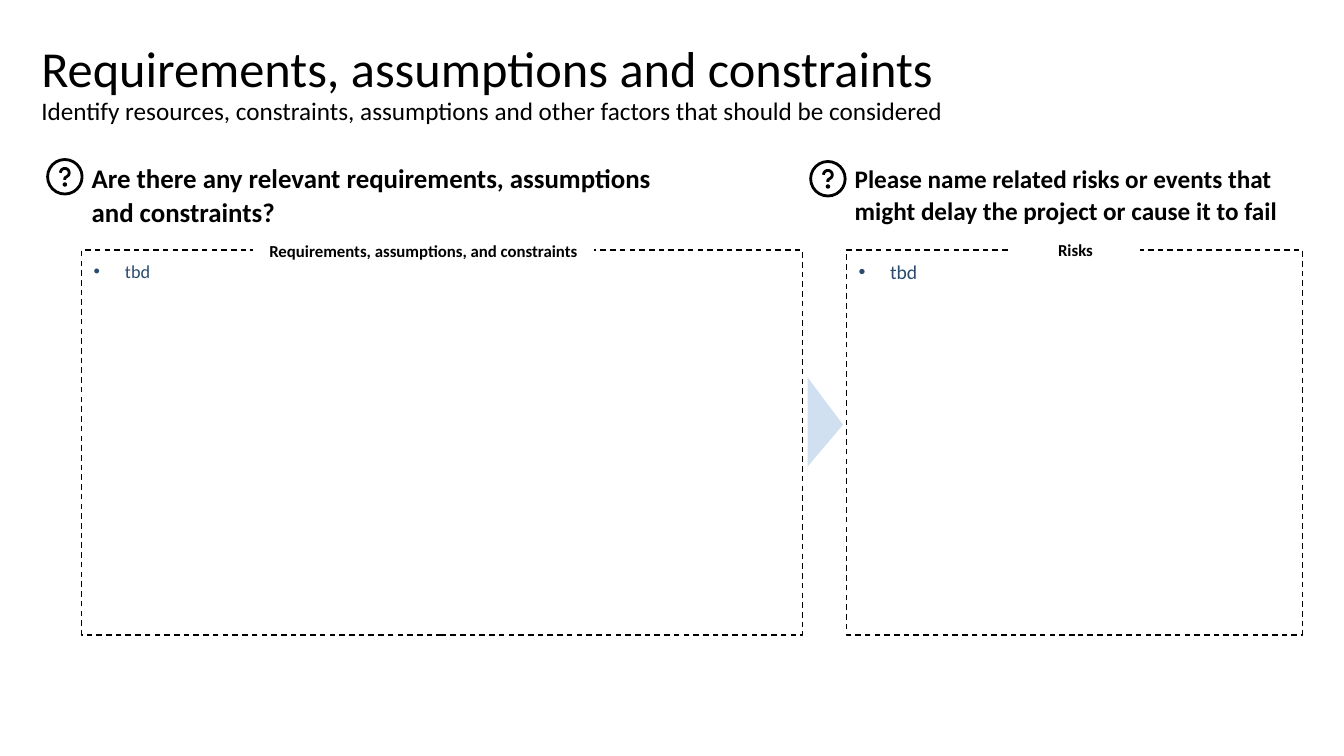
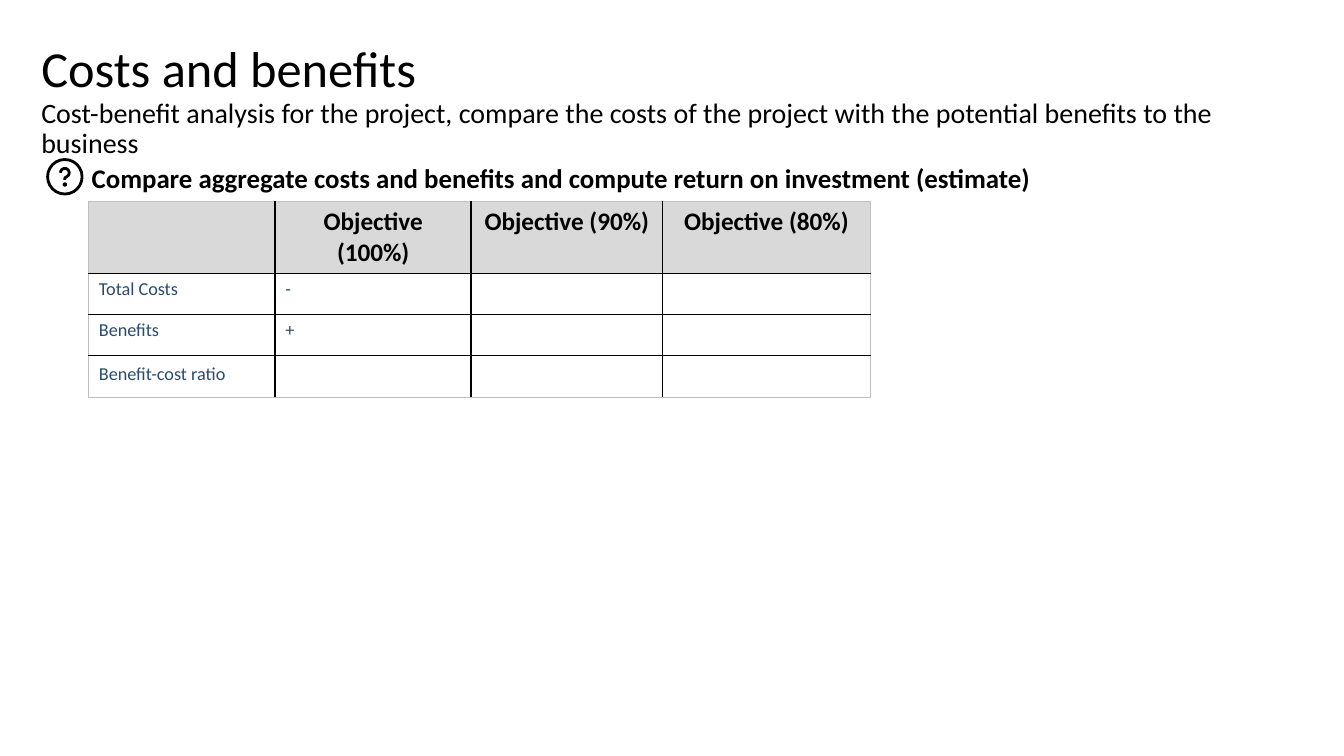
from dataclasses import dataclass
from math import cos, radians, sin

from lxml.etree import SubElement as Sub
from pptx import Presentation
from pptx.dml.color import RGBColor as Rgb
from pptx.enum.dml import MSO_LINE as Dash
from pptx.enum.shapes import MSO_SHAPE as Shape
from pptx.enum.text import MSO_ANCHOR as Anchor, MSO_AUTO_SIZE as Auto, PP_ALIGN as Align
from pptx.oxml.ns import qn
from pptx.util import Cm, Pt


@dataclass(frozen=True)
class Theme:
    font: str = "Calibri"
    ink: str = "000000"
    paper: str = "FFFFFF"
    note: str = "2A4B6D"
    arrow: str = "D1E0F0"
    head: str = "D9D9D9"
    edge: str = "BFBFBF"
    title: float = 36
    ask: float = 19.2
    mid: float = 18
    cell: float = 13
    label: float = 12


T = Theme()
TITLE_ONLY, TWO_LISTS = 5, 3


# Text and paint
def add_run(para, text, size, color=T.ink, bold=False):
    run = para.add_run()
    run.text = text
    font = run.font
    font.name, font.size, font.bold = T.font, Pt(size), bold
    font.color.rgb = Rgb.from_string(color)


def set_pad(frame, x, y):
    frame.margin_left = frame.margin_right = Cm(x)
    frame.margin_top = frame.margin_bottom = Cm(y)
    frame.word_wrap, frame.auto_size = True, Auto.NONE


def place(shape, x, y, w, h):
    shape.left, shape.top, shape.width, shape.height = map(Cm, (x, y, w, h))


def paint(shape, fill=None, line=None, width=1):
    shape.shadow.inherit = False
    if fill:
        shape.fill.solid()
        shape.fill.fore_color.rgb = Rgb.from_string(fill)
    else:
        shape.fill.background()
    if line:
        shape.line.color.rgb = Rgb.from_string(line)
        shape.line.width = Pt(width)
    else:
        shape.line.fill.background()


def add_box(slide, kind, x, y, w, h, **style):
    shape = slide.shapes.add_shape(kind, *map(Cm, (x, y, w, h)))
    paint(shape, **style)
    return shape


# Slide with title and subtitle
def add_slide(deck, layout, title, sub, size):
    slide = deck.slides.add_slide(deck.slide_layouts[layout])
    head = slide.shapes.title
    place(head, 1.04, 1.12, 31.8, 1.8)
    frame = head.text_frame
    set_pad(frame, 0, 0)
    frame.vertical_anchor = Anchor.TOP
    para = frame.paragraphs[0]
    para.alignment, para.line_spacing = Align.LEFT, 0.9
    add_run(para, title, T.title)
    para.add_line_break()
    add_run(para, sub, size)
    return slide


# Question mark in a ring, then the question
def add_icon(slide, x, y):
    size, bow, dot = 0.87, 0.11, 0.11
    add_box(slide, Shape.OVAL, x, y, size, size, fill=T.paper, line=T.ink, width=2)
    mx, my = x + size / 2, y + size / 2
    turns = [radians(a) for a in range(180, 406, 15)]
    hook = [(mx + bow * cos(a), my - 0.1 + bow * sin(a)) for a in turns]
    hook += [(mx, my + 0.03), (mx, my + 0.08)]
    pts = [(Cm(px), Cm(py)) for px, py in hook]
    draw = slide.shapes.build_freeform(*pts[0])
    draw.add_line_segments(pts[1:], close=False)
    paint(draw.convert_to_shape(), line=T.ink, width=2)
    add_box(slide, Shape.OVAL, mx - dot / 2, my + 0.14, dot, dot, fill=T.ink)


def add_ask(slide, x, y, w, h, text, size):
    add_icon(slide, x - 0.86, y + 0.13)
    box = slide.shapes.add_textbox(*map(Cm, (x, y, w, h)))
    set_pad(box.text_frame, 0.25, 0.13)
    para = box.text_frame.paragraphs[0]
    para.line_spacing = 1.06
    add_run(para, text, size, bold=True)


# Dashed list frame and its caption
def add_list(slide, idx, x, w, items, size):
    body = slide.placeholders[idx]
    place(body, x, 6.3, w, 9.7)
    paint(body, T.paper, T.ink)
    body.line.dash_style = Dash.DASH
    frame = body.text_frame
    set_pad(frame, 0.3, 0.2)
    for i, item in enumerate(items):
        para = frame.add_paragraph() if i else frame.paragraphs[0]
        para.line_spacing, para.space_before = 1.1, Pt(6)
        props = para._p.get_or_add_pPr()
        props.set("marL", str(Cm(0.79)))
        props.set("indent", str(-Cm(0.79)))
        Sub(props, qn("a:buChar"), char="•")
        add_run(para, item, size, T.note)


def add_label(slide, x, y, w, text):
    box = add_box(slide, Shape.RECTANGLE, x, y, w, 0.56, fill=T.paper)
    set_pad(box.text_frame, 0.3, 0.2)
    box.text_frame.vertical_anchor = Anchor.MIDDLE
    para = box.text_frame.paragraphs[0]
    para.alignment, para.line_spacing, para.space_before = Align.CENTER, 1.1, Pt(6)
    add_run(para, text, T.label, bold=True)


# Table
def set_edges(cell, edges):
    props = cell._tc.get_or_add_tcPr()
    for side, (color, width) in edges.items():
        line = Sub(props, qn(f"a:ln{side}"), w=str(Pt(width)))
        Sub(Sub(line, qn("a:solidFill")), qn("a:srgbClr"), val=color)


def add_grid(slide, x, y, cols, high, rows):
    tall = [1.8] + [high] * (len(rows) - 1)
    spot = map(Cm, (x, y, sum(cols), sum(tall)))
    grid = slide.shapes.add_table(len(rows), len(cols), *spot).table
    grid.first_row = grid.horz_banding = False
    for col, w in zip(grid.columns, cols):
        col.width = Cm(w)
    inner, outer, thick = (T.ink, 1), (T.edge, 0.75), (T.ink, 1.5)
    last, end = len(rows) - 1, len(cols) - 1
    for r, row in enumerate(rows):
        grid.rows[r].height = Cm(tall[r])
        for c, text in enumerate(row):
            cell = grid.cell(r, c)
            set_edges(cell, {
                "L": outer if c == 0 else thick if c == 1 else inner,
                "R": outer if c == end else thick if c == 0 else inner,
                "T": outer if r == 0 else inner,
                "B": outer if r == last else inner,
            })
            cell.fill.solid()
            cell.fill.fore_color.rgb = Rgb.from_string(T.paper if r else T.head)
            para = cell.text_frame.paragraphs[0]
            if r == last:
                para.line_spacing, para.space_before = 1.1, Pt(6)
            if text and r:
                add_run(para, text, T.cell, T.note)
            elif text:
                para.alignment = Align.CENTER
                add_run(para, text, T.mid, bold=True)


# Slides
def add_needs(deck):
    slide = add_slide(
        deck, TWO_LISTS, "Requirements, assumptions and constraints",
        "Identify resources, constraints, assumptions and other factors that should be considered", 18)
    add_list(slide, 1, 2.06, 18.16, ["tbd"], 13)
    add_list(slide, 2, 21.34, 11.48, ["tbd"], 14)
    add_label(slide, 6.38, 6.02, 8.59, "Requirements, assumptions, and constraints")
    add_label(slide, 25.48, 6, 3.25, "Risks")
    arrow = add_box(slide, Shape.ISOSCELES_TRIANGLE, 19.68, 10.19, 2.24, 0.89, fill=T.arrow)
    arrow.adjustments[0] = 0.53
    arrow.rotation = 90
    add_ask(slide, 2.06, 3.89, 15.29, 1.8,
            "Are there any relevant requirements, assumptions and constraints?", T.ask)
    add_ask(slide, 21.29, 3.94, 11.48, 1.8,
            "Please name related risks or events that might delay the project or cause it to fail", T.mid)


def add_costs(deck):
    slide = add_slide(
        deck, TITLE_ONLY, "Costs and benefits",
        "Cost-benefit analysis for the project, compare the costs of the project "
        "with the potential benefits to the business", 20)
    add_ask(slide, 2.06, 3.89, 30.23, 1.02,
            "Compare aggregate costs and benefits and compute return on investment (estimate)", T.ask)
    add_grid(slide, 2.24, 5.08, [4.7, 4.93, 4.83, 5.23], 1.04, [
        ["", "Objective (100%)", "Objective (90%)", "Objective (80%)"],
        ["Total Costs", "-", "", ""],
        ["Benefits", "+", "", ""],
        ["Benefit-cost ratio", "", "", ""],
    ])


def main():
    deck = Presentation()
    deck.slide_width, deck.slide_height = Cm(33.87), Cm(19.05)
    add_needs(deck)
    add_costs(deck)
    deck.save("out.pptx")


if __name__ == "__main__":
    main()
